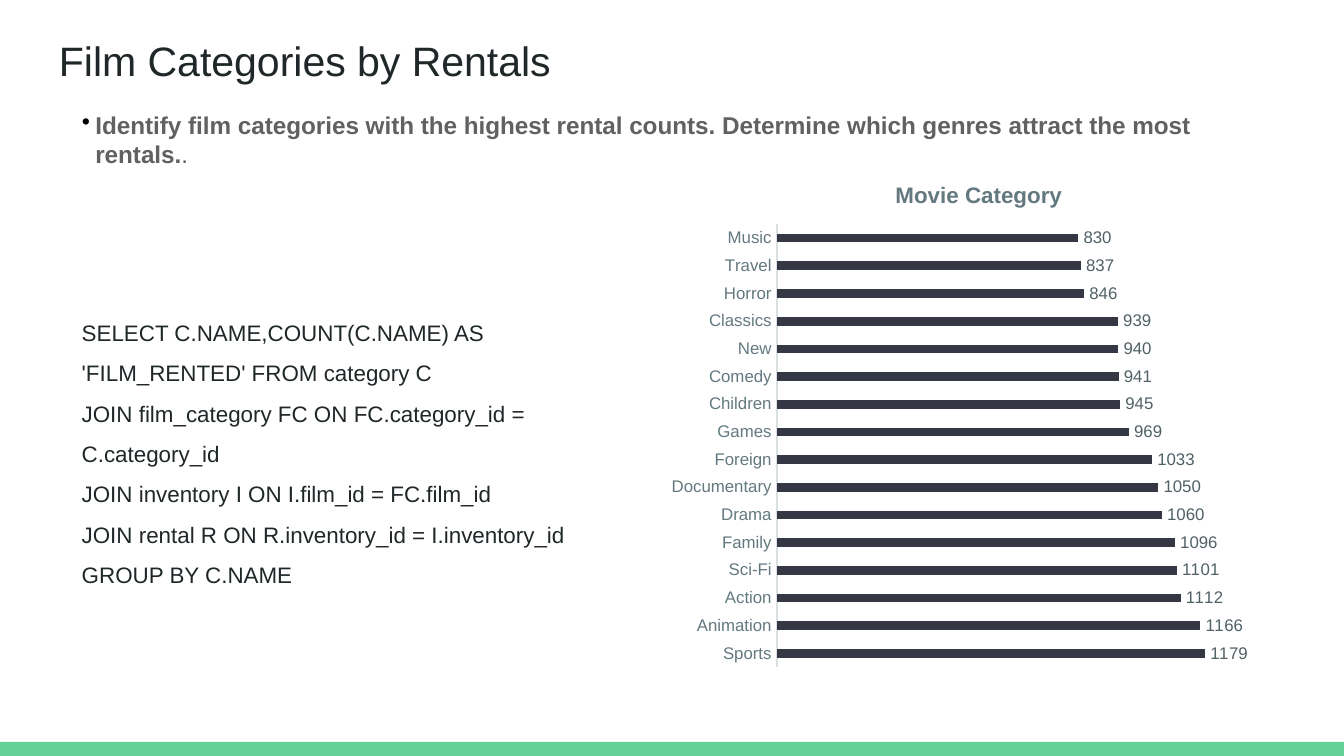
from lxml import etree
from pptx import Presentation
from pptx.chart.data import CategoryChartData
from pptx.dml.color import RGBColor
from pptx.enum.chart import XL_CHART_TYPE, XL_LABEL_POSITION, XL_TICK_LABEL_POSITION, XL_TICK_MARK
from pptx.enum.shapes import MSO_SHAPE
from pptx.enum.text import MSO_ANCHOR
from pptx.oxml.ns import qn
from pptx.util import Inches, Pt

BAR = XL_CHART_TYPE.BAR_CLUSTERED
OUTSIDE = XL_LABEL_POSITION.OUTSIDE_END
NEXT_TO = XL_TICK_LABEL_POSITION.NEXT_TO_AXIS
NO_TICK = XL_TICK_MARK.NONE
RECT = MSO_SHAPE.RECTANGLE
TOP, MIDDLE = MSO_ANCHOR.TOP, MSO_ANCHOR.MIDDLE

W = 10
H = W * 9 / 16
FONT = "Arial"
INK, GREY, SLATE, GREEN = "202729", "616161", "63797F", "63D297"

QUERY = [
    "SELECT C.NAME,COUNT(C.NAME) AS 'FILM_RENTED' FROM category C",
    "JOIN film_category FC ON FC.category_id = C.category_id",
    "JOIN inventory I ON I.film_id = FC.film_id",
    "JOIN rental R ON R.inventory_id = I.inventory_id",
    "GROUP BY C.NAME",
]
RENTALS = {
    "Sports": 1179, "Animation": 1166, "Action": 1112, "Sci-Fi": 1101,
    "Family": 1096, "Drama": 1060, "Documentary": 1050, "Foreign": 1033,
    "Games": 969, "Children": 945, "Comedy": 941, "New": 940,
    "Classics": 939, "Horror": 846, "Travel": 837, "Music": 830,
}


def rgb(value):
    return RGBColor.from_string(value)


def inches(box):
    return [Inches(v) for v in box]


def style(font, size, color, bold=False):
    for name, value in {"name": FONT, "size": Pt(size), "bold": bold}.items():
        setattr(font, name, value)
    font.color.rgb = rgb(color)


def add_text(s, box, paragraphs, size, color, anchor=TOP, insets=(0.1, 0.05, 0.1, 0.05), spacing=None):
    """Each paragraph is a list of (text, bold) runs."""
    tf = s.shapes.add_textbox(*inches(box)).text_frame
    tf.word_wrap = True
    tf.vertical_anchor = anchor
    for side, inset in zip(("left", "top", "right", "bottom"), insets):
        setattr(tf, f"margin_{side}", Inches(inset))
    for i, runs in enumerate(paragraphs):
        p = tf.add_paragraph() if i else tf.paragraphs[0]
        p.line_spacing = spacing
        for text, bold in runs:
            r = p.add_run()
            r.text = text
            style(r.font, size, color, bold)
    return tf


def add_footer(s, box):
    sp = s.shapes.add_shape(RECT, *inches(box))
    sp.shadow.inherit = False
    sp.fill.solid()
    sp.fill.fore_color.rgb = rgb(GREEN)
    sp.line.fill.background()


def add_goal(s, box):
    runs = [("Identify film categories with the highest rental counts. "
             "Determine which genres attract the most rentals.", True), (".", False)]
    tf = add_text(s, box, [runs], 13, GREY, insets=(0.21, 0, 0, 0.21))
    p = tf.paragraphs[0]
    p.space_after = Pt(8)
    # Hanging bullet
    pPr = p._p.get_or_add_pPr()
    pPr.set("marL", str(Inches(0.25)))
    pPr.set("indent", str(Inches(-0.1)))
    color = etree.SubElement(pPr, qn("a:buClr"))
    etree.SubElement(color, qn("a:srgbClr"), val="000000")
    etree.SubElement(pPr, qn("a:buChar"), char="•")


def set_layout(parent, index, **shares):
    """Place a chart part by shares of the chart's size."""
    for old in parent.findall(qn("c:layout")):
        parent.remove(old)
    layout = etree.Element(qn("c:layout"))
    manual = etree.SubElement(layout, qn("c:manualLayout"))
    modes = {"xMode": "edge", "yMode": "edge"}
    if "w" in shares:
        modes = {"layoutTarget": "inner", **modes}
    for tag, value in {**modes, **shares}.items():
        etree.SubElement(manual, qn(f"c:{tag}"), val=str(value))
    parent.insert(index, layout)


def add_rental_chart(s, box):
    data = CategoryChartData()
    data.categories = list(RENTALS)
    data.add_series("Series 1", list(RENTALS.values()))
    chart = s.shapes.add_chart(BAR, *inches(box), data).chart
    chart.has_legend = False
    style(chart.font, 10, INK)

    # Title
    chart.has_title = True
    r = chart.chart_title.text_frame.paragraphs[0].add_run()
    r.text = "Movie Category"
    style(r.font, 12, SLATE, True)
    set_layout(chart.chart_title._element, 1, x=0.364, y=0.036)
    set_layout(chart._chartSpace.chart.plotArea, 0, x=0.185, y=0.127, w=0.795, h=0.854)

    # Axes
    axis = chart.category_axis
    axis.major_tick_mark = axis.minor_tick_mark = NO_TICK
    axis.tick_label_position = NEXT_TO
    axis.format.line.color.rgb = rgb("DAE0E2")
    axis.format.line.width = Pt(0.75)
    style(axis.tick_labels.font, 9, SLATE)
    values = chart.value_axis
    values.minimum_scale, values.maximum_scale = 0, 1400
    values.has_major_gridlines = False
    values.visible = False

    # Bars and labels
    plot = chart.plots[0]
    plot.gap_width = 219
    plot.vary_by_categories = False
    fill = plot.series[0].format.fill
    fill.solid()
    fill.fore_color.rgb = rgb("353744")
    labels = plot.series[0].data_labels
    labels.show_value = True
    labels.position = OUTSIDE
    style(labels.font, 9, "506166")


def main():
    prs = Presentation()
    prs.slide_width, prs.slide_height = inches((W, H))
    s = prs.slides.add_slide(prs.slide_layouts[6])
    add_footer(s, (0, 5.52, W, H - 5.52))
    add_text(s, (0.34, 0.13, 9.32, 0.63), [[("Film Categories by Rentals", False)]],
             22, INK, MIDDLE, (0.1,) * 4)
    add_text(s, (0.51, 1.61, 4.4, 3.43), [[(line, False)] for line in QUERY],
             12, INK, MIDDLE, spacing=1.5)
    add_goal(s, (0.25, 0.82, 9.24, 0.43))
    add_rental_chart(s, (4.9, 1.18, 4.76, 3.86))
    prs.save("out.pptx")


if __name__ == "__main__":
    main()
